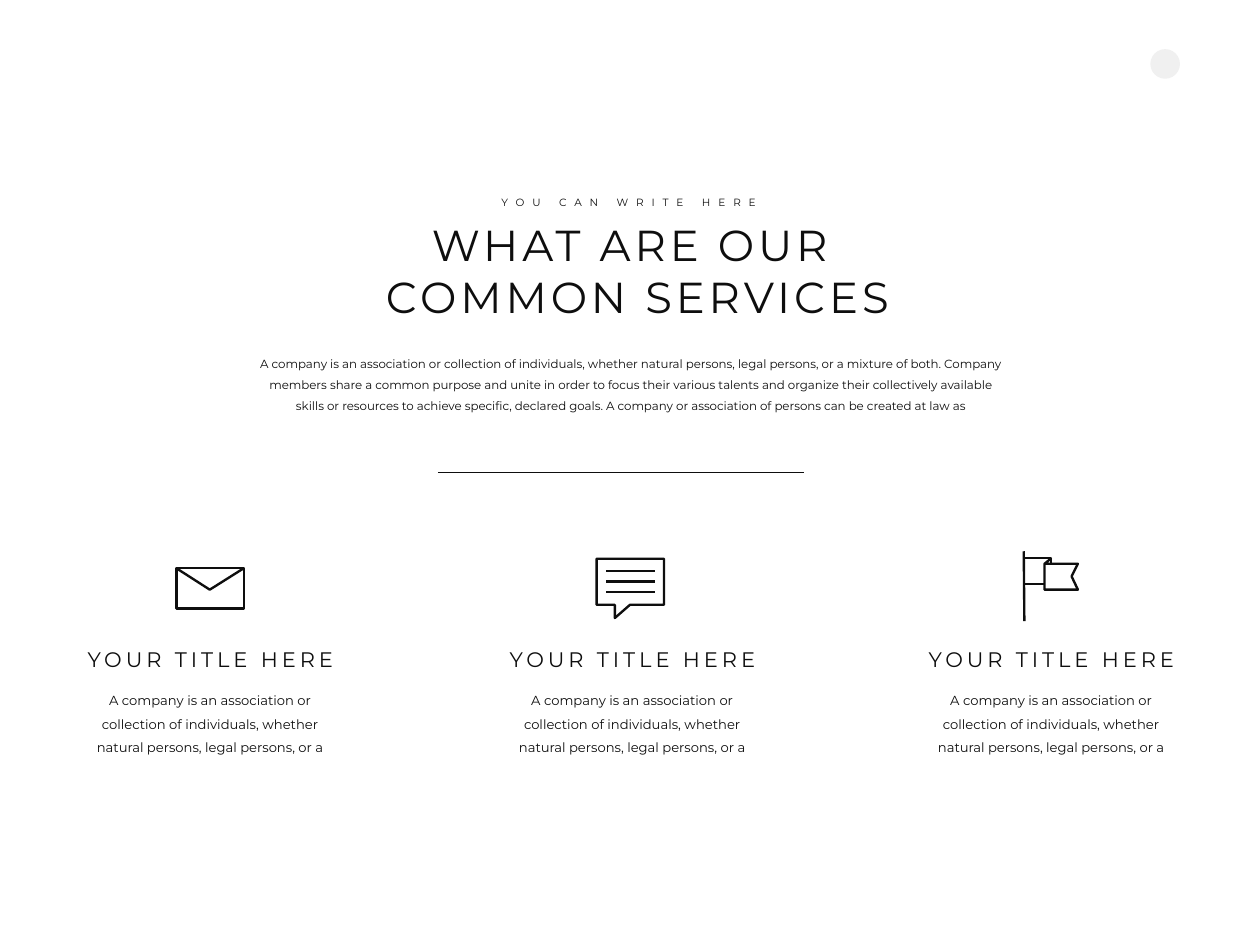
import pptx
import pptx.dml.color
import pptx.enum.shapes
import pptx.enum.text
import pptx.oxml
import pptx.util
from pptx.util import Inches

INK = "0E0E0E"
PALE = "F0F0F0"
BODY = ("A company is an association or collection of individuals, whether "
        "natural persons, legal persons, or a")
INTRO = BODY + (
    " mixture of both. Company members share a common purpose and unite in order "
    "to focus their various talents and organize their collectively available "
    "skills or resources to achieve specific, declared goals. A company or "
    "association of persons can be created at law as")

# Icon strokes in inches, measured from the top left of a service column
ENVELOPE = [
    [(2.5, 0.91), (1.43, 0.91), (1.43, 0.27), (2.5, 0.27), (2.5, 0.91)],
    [(1.43, 0.27), (1.96, 0.61), (2.5, 0.27)],
]
SPEECH_BUBBLE = [[(1.55, y), (2.32, y)] for y in (0.31, 0.48, 0.65)] + [
    [(1.93, 0.85), (2.47, 0.85), (2.47, 0.12), (1.4, 0.12), (1.4, 0.85),
     (1.69, 0.85), (1.69, 1.06), (1.93, 0.85)],
]
FLAG = [
    [(1.53, 0), (1.54, 1.11)],
    [(1.97, 0.11), (1.86, 0.2), (1.86, 0.61), (2.39, 0.61), (2.29, 0.4),
     (2.39, 0.2), (1.86, 0.2)],
    [(1.86, 0.52), (1.53, 0.52), (1.53, 0.11), (1.96, 0.11), (1.96, 0.2)],
]


def color(value):
    return pptx.dml.color.RGBColor.from_string(value)


def add_text(slide, box, lines, size, tracking=0, spacing=1, wrap=False):
    frame = slide.shapes.add_textbox(*map(Inches, box)).text_frame
    frame.word_wrap = wrap
    frame.text = "\n".join(lines)
    font_format = {"size": pptx.util.Pt(size), "name": "Montserrat"}
    for paragraph in frame.paragraphs:
        paragraph.alignment = pptx.enum.text.PP_ALIGN.CENTER
        paragraph.line_spacing = spacing
        for run in paragraph.runs:
            for name, value in font_format.items():
                setattr(run.font, name, value)
            run.font.color.rgb = color(INK)
            if tracking:
                run.font._element.set("spc", str(int(tracking * 100)))


def add_stroke(shapes, points, width):
    points = [(Inches(x), Inches(y)) for x, y in points]
    if len(points) == 2:
        stroke = shapes.add_connector(
            pptx.enum.shapes.MSO_CONNECTOR.STRAIGHT, *points[0], *points[1])
        stroke._element.spPr.append(pptx.oxml.parse_xml(
            '<a:effectLst xmlns:a='
            '"http://schemas.openxmlformats.org/drawingml/2006/main"/>'))
    else:
        builder = shapes.build_freeform(*points[0])
        builder.add_line_segments(points[1:], close=points[0] == points[-1])
        stroke = builder.convert_to_shape()
        stroke.fill.background()
        stroke.shadow.inherit = False
    stroke.line.color.rgb = color(INK)
    stroke.line.width = pptx.util.Pt(width)


def add_page_badge(slide, left, top, size):
    badge = slide.shapes.add_shape(
        pptx.enum.shapes.MSO_SHAPE.OVAL, *map(Inches, (left, top, size, size)))
    badge.fill.solid()
    badge.fill.fore_color.rgb = color(PALE)
    badge.line.fill.background()
    badge.shadow.inherit = False


def add_header(slide, left, top, width):
    # Title, the line above it, and the introduction
    add_text(slide, (left + 1.81, top + 0.35, 8.46, 1.77),
             ["WHAT ARE OUR", " COMMON SERVICES"], 49.5, tracking=4.5)
    add_text(slide, (left + 3.83, top, 4.38, 0.3),
             ["YOU CAN WRITE HERE"], 12, tracking=9)
    add_text(slide, (left, top + 2.44, width, 1.12),
             [INTRO], 13.5, spacing=1.5, wrap=True)
    # Divider
    add_stroke(slide.shapes, [(left + 2.99, top + 4.44),
                              (left + 8.81, top + 4.44)], 0.5)


def add_service(slide, left, top, width, icon):
    group = slide.shapes.add_group_shape()
    for points in icon:
        add_stroke(group.shapes, [(left + x, top + y) for x, y in points], 2.7)
    add_text(slide, (left - 0.11, top + 1.46, width + 0.23, 0.51),
             ["YOUR TITLE HERE"], 24, tracking=4.5)
    add_text(slide, (left, top + 2.07, width, 1.24),
             [BODY], 15, spacing=1.5, wrap=True)


def main():
    presentation = pptx.Presentation()
    presentation.slide_width = Inches(20)
    presentation.slide_height = Inches(15)
    slide = presentation.slides.add_slide(presentation.slide_layouts[6])

    add_page_badge(slide, 18.26, 0.78, 0.47)
    add_header(slide, 3.96, 3.06, 12.11)
    for left, icon in ((1.37, ENVELOPE), (8.07, SPEECH_BUBBLE), (14.72, FLAG)):
        add_service(slide, left, 8.75, 3.93, icon)

    presentation.save("out.pptx")


if __name__ == "__main__":
    main()
